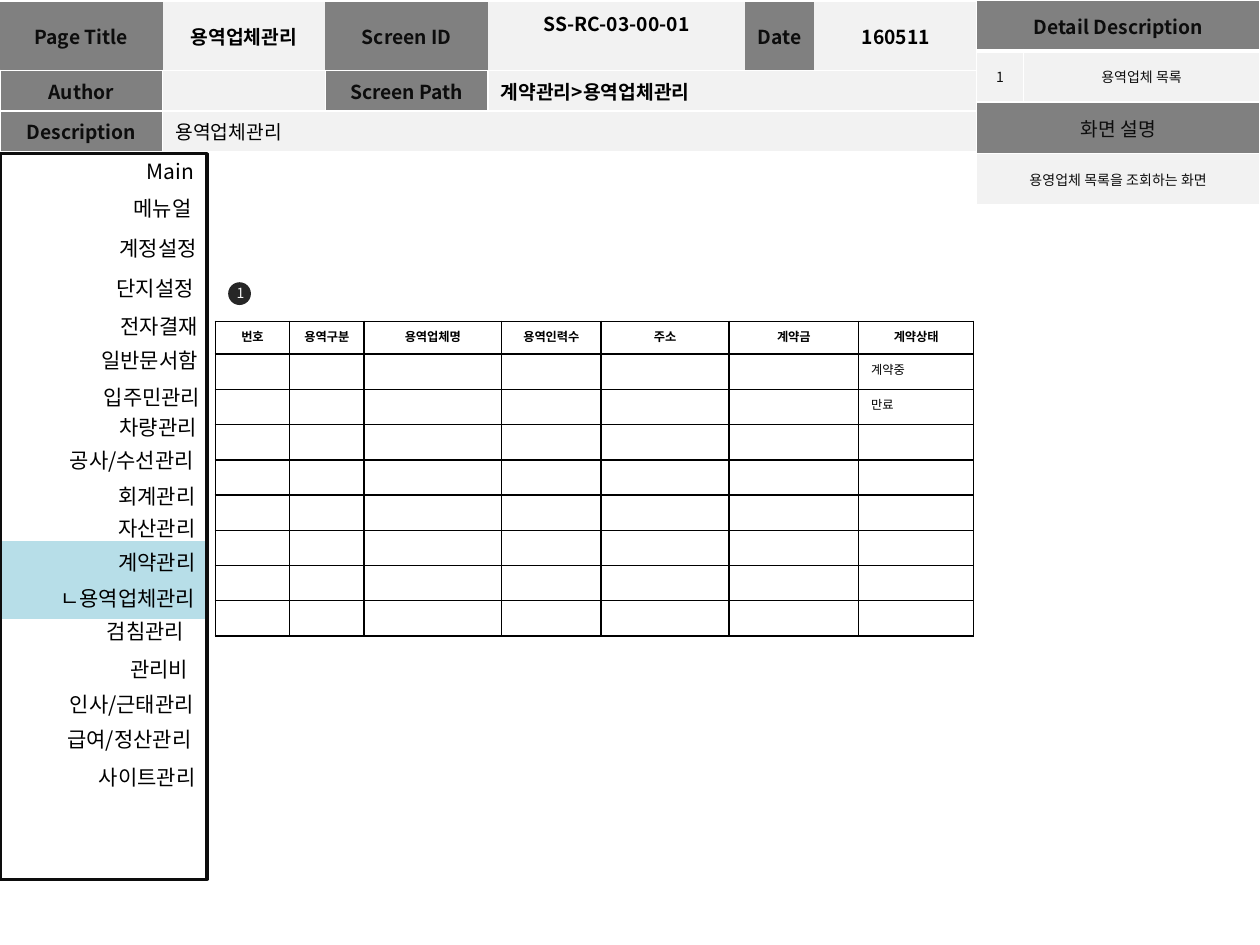
from lxml.etree import SubElement
from pptx import Presentation
from pptx.dml.color import RGBColor
from pptx.enum.shapes import MSO_SHAPE
from pptx.enum.text import MSO_ANCHOR, PP_ALIGN
from pptx.oxml.ns import qn
from pptx.util import Cm, Pt

FONT = "Noto Sans CJK KR"
GRAY, LIGHT, INK, WHITE, BLACK = "808080", "F2F2F2", "0D0D0D", "FFFFFF", "000000"
NO_STYLE = "{2D5ABB26-0587-4C30-8999-92F81FD0307C}"
LEFT, CENTER, RIGHT = PP_ALIGN.LEFT, PP_ALIGN.CENTER, PP_ALIGN.RIGHT

# Side menu entries: text, left, top (cm)
MENU = [
    ("Main", -0.03, 3.07), ("메뉴얼", -0.08, 3.81), ("계정설정", 0.03, 4.62),
    ("단지설정", -0.03, 5.44), ("전자결재", 0.05, 6.2), ("일반문서함", 0.05, 6.88),
    ("입주민관리", 0.1, 7.62), ("차량관리", 0.03, 8.23), ("공사/수선관리", -0.03, 8.89),
    ("회계관리", 0, 9.63), ("자산관리", 0, 10.26), ("계약관리", 0, 10.95),
    ("ㄴ용역업체관리", 0, 11.68), ("검침관리", -0.23, 12.34), ("관리비", -0.15, 13.11),
    ("인사/근태관리", -0.03, 13.82), ("급여/정산관리", -0.08, 14.53), ("사이트관리", 0, 15.29),
]


def rgb(color):
    return RGBColor.from_string(color)


def write(tf, text, size=12, color=BLACK, bold=False, align=LEFT):
    p = tf.paragraphs[0]
    p.alignment = align
    if not text:  # keeps an empty cell from growing its row
        SubElement(p._p, qn("a:endParaRPr"), sz=str(size * 100))
        return
    r = p.add_run()
    r.text = text
    r.font.name, r.font.size, r.font.bold = FONT, Pt(size), bold
    r.font.color.rgb = rgb(color)
    SubElement(r._r.get_or_add_rPr(), qn("a:ea"), typeface=FONT)


def add_label(s, text, x, y, w, h, wrap=True, **fmt):
    tf = s.shapes.add_textbox(Cm(x), Cm(y), Cm(w), Cm(h)).text_frame
    tf.word_wrap = wrap
    write(tf, text, **fmt)


def add_box(s, kind, x, y, w, h, fill=None, line=None):
    sp = s.shapes.add_shape(kind, Cm(x), Cm(y), Cm(w), Cm(h))
    sp.shadow.inherit = False
    if fill:
        sp.fill.solid()
        sp.fill.fore_color.rgb = rgb(fill)
    else:
        sp.fill.background()
    if line:
        sp.line.color.rgb = rgb(line)
        sp.line.width = Pt(2)
    else:
        sp.line.fill.background()


def add_grid(s, x, y, cols, rows):
    frame = s.shapes.add_table(len(rows), len(cols), Cm(x), Cm(y),
                               Cm(sum(cols)), Cm(sum(rows)))
    table = frame.table
    table.first_row = table.horz_banding = False
    table._tbl.tblPr.find(qn("a:tableStyleId")).text = NO_STYLE
    for column, width in zip(table.columns, cols):
        column.width = Cm(width)
    for row, height in zip(table.rows, rows):
        row.height = Cm(height)
    return table


def set_borders(cell, color, sides="LRTB", **widths):
    tc_pr = cell._tc.get_or_add_tcPr()
    for side in sides:
        ln = SubElement(tc_pr, qn(f"a:ln{side}"), w=str(Pt(widths.get(side, 1))))
        SubElement(SubElement(ln, qn("a:solidFill")), qn("a:srgbClr"), val=color)


def fill_cell(cell, text, fill=None, anchor=MSO_ANCHOR.MIDDLE, **fmt):
    if fill:
        cell.fill.solid()
        cell.fill.fore_color.rgb = rgb(fill)
    else:
        cell.fill.background()
    cell.vertical_anchor = anchor
    write(cell.text_frame, text, **fmt)


def add_page_header(s):
    rows = [
        ["Page Title", "용역업체관리", "Screen ID", "SS-RC-03-00-01", "Date", "160511"],
        ["Author", "", "Screen Path", "계약관리>용역업체관리", "", ""],
        ["Description", "용역업체관리", "", "", "", ""],
    ]
    labels = {"Page Title", "Screen ID", "Date", "Author", "Screen Path", "Description"}
    table = add_grid(s, 0, 0.05, [3.28, 3.28, 3.28, 5.18, 1.4, 3.28], [1.37, 0.81, 0.81])
    for i, row in enumerate(rows):
        for j, text in enumerate(row):
            cell = table.cell(i, j)
            is_label = text in labels
            set_borders(cell, WHITE, "LRTB" if i else "B")
            fill_cell(cell, text, GRAY if is_label else LIGHT,
                      MSO_ANCHOR.TOP if text.startswith("SS-") else MSO_ANCHOR.MIDDLE,
                      size=11, color=INK if is_label else BLACK,
                      bold=is_label or i < 2,
                      align=CENTER if is_label or i == 0 else LEFT)
    table.cell(1, 3).merge(table.cell(1, 5))
    table.cell(2, 1).merge(table.cell(2, 5))


def add_detail_panel(s):
    rows = [["Detail Description", ""], ["1", "용역업체 목록"],
            ["화면 설명", ""], ["용영업체 목록을 조회하는 화면", ""]]
    table = add_grid(s, 19.69, 0, [0.94, 4.77], [1.03] * 4)
    for i, row in enumerate(rows):
        is_heading = i in (0, 2)
        for j, text in enumerate(row):
            cell = table.cell(i, j)
            set_borders(cell, WHITE, B=3 if i == 0 else 1, T=3 if i == 1 else 1)
            fill_cell(cell, text, GRAY if is_heading else LIGHT,
                      size=11 if is_heading else 8, color=INK, bold=i == 0, align=CENTER)
        if not row[1]:
            table.cell(i, 0).merge(table.cell(i, 1))


def add_vendor_list(s):
    heads = ["번호", "용역구분", "용역업체명", "용역인력수", "주소", "계약금", "계약상태"]
    states = {1: "계약중", 2: "만료"}
    table = add_grid(s, 4.34, 6.48, [1.5, 1.5, 2.77, 2.01, 2.58, 2.61, 2.32],
                     [0.66] + [0.71] * 8)
    for i in range(9):
        for j, head in enumerate(heads):
            text = head if i == 0 else states.get(i, "") if j == 6 else ""
            set_borders(table.cell(i, j), BLACK)
            fill_cell(table.cell(i, j), text, anchor=MSO_ANCHOR.TOP, size=7,
                      bold=i == 0, align=LEFT if i else CENTER)


def main():
    prs = Presentation()
    prs.slide_width, prs.slide_height = Cm(25.4), Cm(19.05)
    s = prs.slides.add_slide(prs.slide_layouts[6])

    add_page_header(s)

    # Side menu with the current section highlighted
    add_box(s, MSO_SHAPE.RECTANGLE, 0, 10.87, 4.17, 1.65, fill="B7DEE8", line=WHITE)
    add_box(s, MSO_SHAPE.RECTANGLE, 0, 3.1, 4.17, 14.63, line=INK)
    for text, x, y in MENU:
        add_label(s, text, x, y, 4.19, 0.76, align=RIGHT)

    add_detail_panel(s)
    add_vendor_list(s)

    # Numbered marker above the list
    add_box(s, MSO_SHAPE.OVAL, 4.6, 5.69, 0.46, 0.46, fill="262626")
    add_label(s, "1", 4.52, 5.61, 0.69, 0.61, wrap=False, size=8, color=LIGHT)

    prs.save("out.pptx")


if __name__ == "__main__":
    main()
